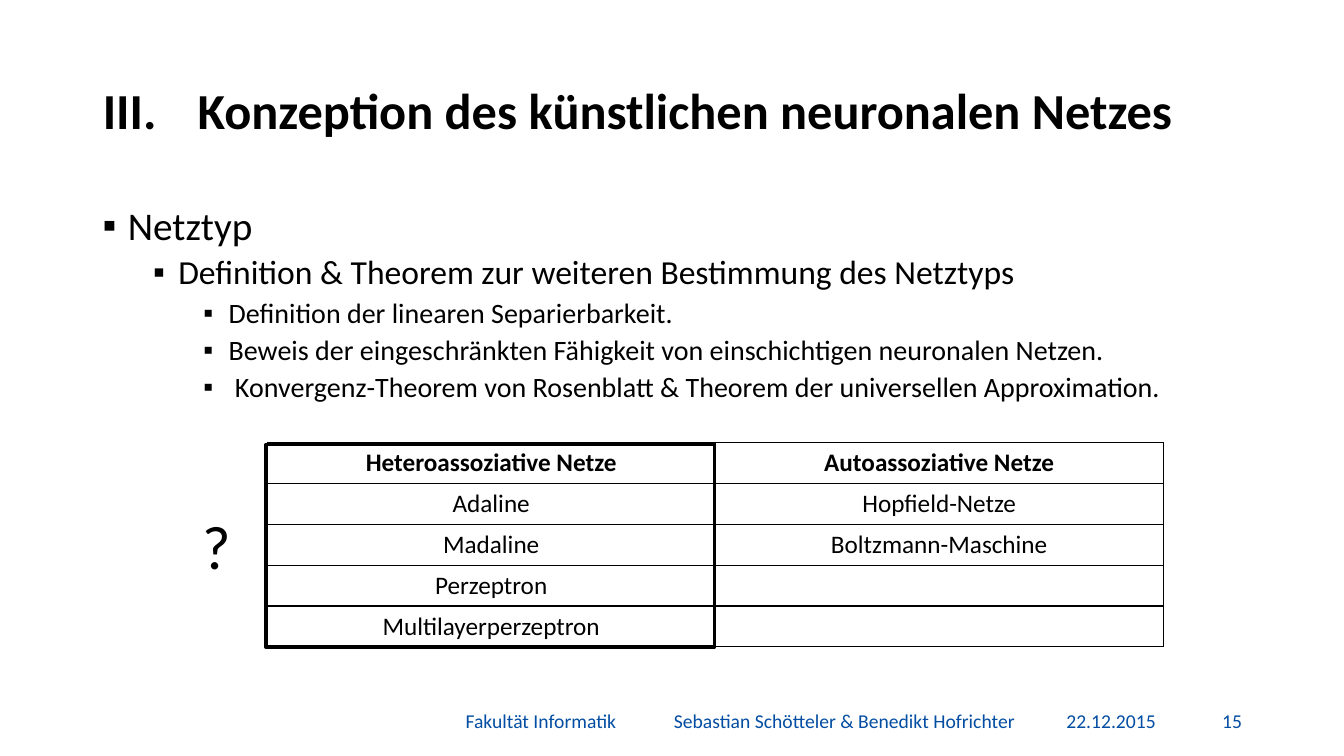
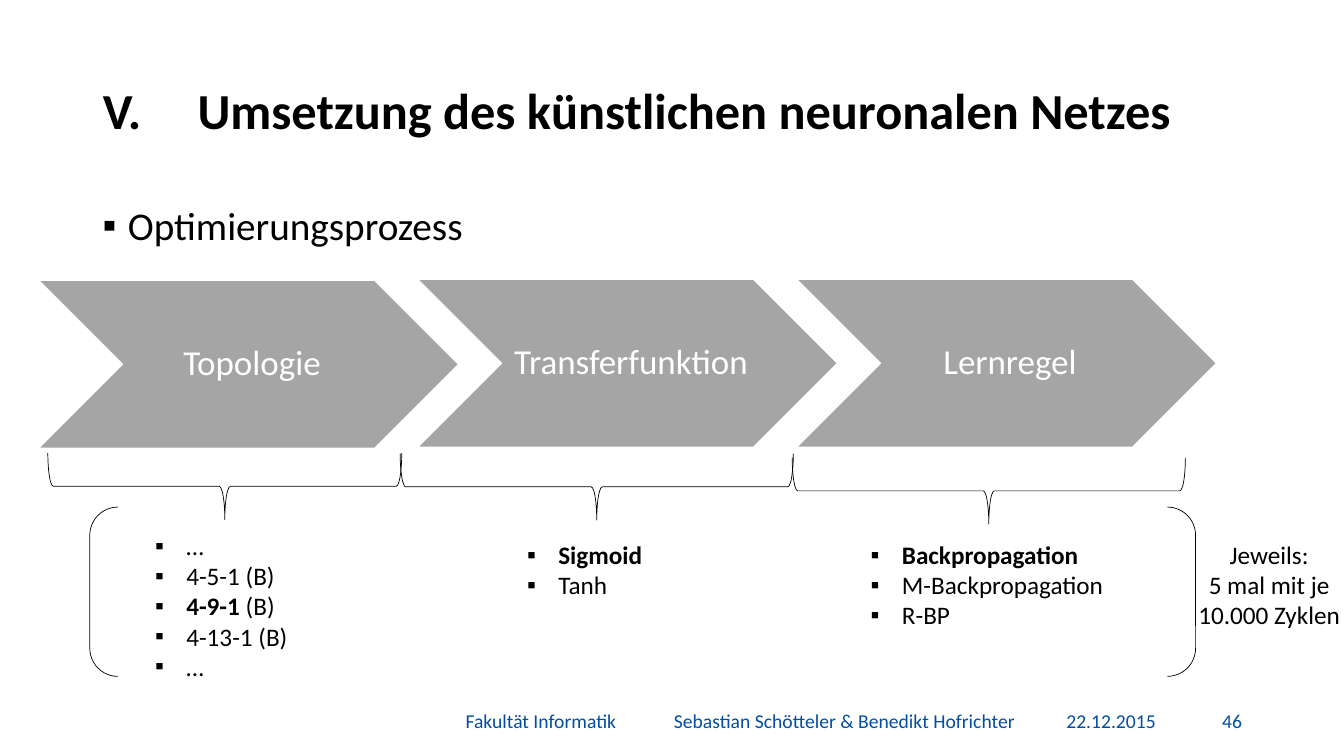
import dataclasses

import lxml.etree
import pptx
import pptx.dml.color
import pptx.enum.shapes
import pptx.enum.text
import pptx.oxml.ns
import pptx.util

Pt = pptx.util.Pt
Inches = pptx.util.Inches
RGB = pptx.dml.color.RGBColor
MSO = pptx.enum.shapes.MSO_SHAPE
ALIGN = pptx.enum.text.PP_ALIGN
ANCHOR = pptx.enum.text.MSO_ANCHOR
qn = pptx.oxml.ns.qn


@dataclasses.dataclass(frozen=True)
class Theme:
    font: str = "Calibri"
    ink: RGB = RGB(0x00, 0x00, 0x00)
    paper: RGB = RGB(0xFF, 0xFF, 0xFF)
    accent: RGB = RGB(0x03, 0x4D, 0xA2)
    grey: RGB = RGB(0xA5, 0xA5, 0xA5)
    title: int = 36
    levels: tuple = (28, 24, 20)
    mark: int = 44
    step: int = 25
    text: int = 18
    footer: int = 14


T = Theme()

prs = pptx.Presentation()
prs.slide_width, prs.slide_height = Inches(13.333), Inches(7.5)

# Grid: 100 columns by 100 rows
COL, ROW = prs.slide_width / 100, prs.slide_height / 100


def box(x, y, w, h):
    """Left, top, width and height, from grid columns and rows."""
    return int(x * COL), int(y * ROW), int(w * COL), int(h * ROW)


def write(tf, runs, size, color=T.ink, align=ALIGN.LEFT, bullet=None,
          indent=0, hang=0, before=0, spacing=1.0, wrap=True):
    """Add one paragraph of (text, bold) runs; a number as bullet starts a Roman list."""
    tf.word_wrap = wrap
    p = tf.add_paragraph() if tf.text else tf.paragraphs[0]
    p.alignment, p.line_spacing, p.space_before = align, spacing, Pt(before)
    for text, bold in runs:
        r = p.add_run()
        r.text = text
        r.font.name, r.font.size, r.font.bold = T.font, Pt(size), bold
        r.font.color.rgb = color
    if bullet:
        pPr = p._p.get_or_add_pPr()
        pPr.set("marL", str(Inches(indent)))
        pPr.set("indent", str(-Inches(hang)))
        if isinstance(bullet, int):
            lxml.etree.SubElement(pPr, qn("a:buFont"), typeface="+mj-lt")
            lxml.etree.SubElement(pPr, qn("a:buAutoNum"), type="romanUcPeriod",
                                  startAt=str(bullet))
        else:
            lxml.etree.SubElement(pPr, qn("a:buFont"), typeface="Arial")
            lxml.etree.SubElement(pPr, qn("a:buChar"), char=bullet)


# Shared frame: title, outline and footer
pages = [
    (3, "Konzeption des künstlichen neuronalen Netzes", "15", [
        (0, "Netztyp"),
        (1, "Definition & Theorem zur weiteren Bestimmung des Netztyps"),
        (2, "Definition der linearen Separierbarkeit."),
        (2, "Beweis der eingeschränkten Fähigkeit von einschichtigen neuronalen Netzen."),
        (2, " Konvergenz-Theorem von Rosenblatt & Theorem der universellen Approximation."),
    ]),
    (5, "Umsetzung des künstlichen neuronalen Netzes", "46",
     [(0, "Optimierungsprozess")]),
]
for chapter, title, number, outline in pages:
    s = prs.slides.add_slide(prs.slide_layouts[5])
    sp = s.shapes.title
    sp.left, sp.top, sp.width, sp.height = box(6.9, 5.33, 86.25, 19.33)
    tf = sp.text_frame
    tf.auto_size = pptx.enum.text.MSO_AUTO_SIZE.NONE
    tf.vertical_anchor = ANCHOR.MIDDLE
    write(tf, [(title, True)], T.title, bullet=chapter, indent=0.94, hang=0.94,
          spacing=0.9)

    tf = s.shapes.add_textbox(*box(6.9, 26.67, 86.25, 63.47)).text_frame
    for level, text in outline:
        write(tf, [(text, False)], T.levels[level], bullet="▪",
              indent=0.25 + 0.5 * level, hang=0.25,
              before=5 if level else 10, spacing=0.9)

    for x, w, text, align in [
        (33.9, 13, "Fakultät Informatik", ALIGN.LEFT),
        (49.4, 27, "Sebastian Schötteler & Benedikt Hofrichter", ALIGN.LEFT),
        (78.6, 8.2, "22.12.2015", ALIGN.LEFT),
        (88.95, 4.2, number, ALIGN.RIGHT),
    ]:
        tf = s.shapes.add_textbox(*box(x, 92.67, w, 5.33)).text_frame
        tf.vertical_anchor = ANCHOR.MIDDLE
        write(tf, [(text, False)], T.footer, T.accent, align, wrap=align == ALIGN.RIGHT)

networks, process = prs.slides

# Table of network types
rows = [
    ("Heteroassoziative Netze", "Autoassoziative Netze"),
    ("Adaline", "Hopfield-Netze"),
    ("Madaline", "Boltzmann-Maschine"),
    ("Perzeptron", ""),
    ("Multilayerperzeptron", ""),
]
table = networks.shapes.add_table(
    len(rows), 2, *box(19.88, 58.53, 66.67, 5.41 * len(rows))).table
table.first_row = table.horz_banding = False
for i, row in enumerate(rows):
    for j, text in enumerate(row):
        cell = table.cell(i, j)
        cell.fill.background()
        cell.vertical_anchor = ANCHOR.TOP if i else ANCHOR.MIDDLE
        if text:
            write(cell.text_frame, [(text, i == 0)], T.text, align=ALIGN.CENTER)
        tcPr = cell._tc.get_or_add_tcPr()
        for k, side in enumerate(("a:lnL", "a:lnR", "a:lnT", "a:lnB")):
            ln = lxml.etree.Element(qn(side), w=str(Pt(1)))
            fill = lxml.etree.SubElement(ln, qn("a:solidFill"))
            lxml.etree.SubElement(fill, qn("a:srgbClr"), val=str(T.ink))
            tcPr.insert(k, ln)

# Frame around the first column, with its question mark
sp = networks.shapes.add_shape(MSO.RECTANGLE, *box(19.8, 58.8, 33.38, 26.8))
sp.shadow.inherit = False
sp.fill.background()
sp.line.color.rgb, sp.line.width = T.ink, Pt(2.5)
tf = networks.shapes.add_textbox(*box(14.33, 66.53, 3.6, 11.2)).text_frame
write(tf, [("?", False)], T.mark, wrap=False)

# Process steps
for i, text in enumerate(("Topologie", "Transferfunktion", "Lernregel")):
    y = 36.93 if i else 37.07
    sp = process.shapes.add_shape(MSO.CHEVRON, *box(2.85 + 28.2 * i, y, 31.28, 22.24))
    sp.shadow.inherit = False
    sp.fill.solid()
    sp.fill.fore_color.rgb = T.grey
    sp.line.color.rgb, sp.line.width = T.paper, Pt(1)
    tf = sp.text_frame
    tf.margin_left = Inches(0.11)
    tf.margin_right = tf.margin_top = tf.margin_bottom = Inches(0.04)
    tf.vertical_anchor = ANCHOR.MIDDLE
    write(tf, [(text, False)], T.step, T.paper, ALIGN.CENTER, spacing=0.9, wrap=False)

# Braces under the steps (turned upright) and the bracket around all options
outlines = []
for x, y, span in [(3.56, 59.93, 26.33), (29.78, 60, 29.25), (58.95, 60.53, 29.25)]:
    left, top, length, depth = box(x, y, span, 8.8)
    sp = process.shapes.add_shape(
        MSO.LEFT_BRACE, left + (length - depth) // 2, top + (depth - length) // 2,
        depth, length)
    sp.rotation = 270
    outlines.append(sp)
outlines.append(process.shapes.add_shape(
    MSO.DOUBLE_BRACKET, *box(6.68, 67.07, 82.28, 22.4)))
for sp in outlines:
    sp.shadow.inherit = False
    sp.fill.background()
    sp.line.color.rgb, sp.line.width = T.ink, Pt(0.5)

# Options of each step
options = [
    (box(10.8, 69.47, 12, 21.6), [
        [("…", False)],
        [("4-5-1 (B)", False)],
        [("4-9-1", True), (" (B)", False)],
        [("4-13-1 (B)", False)],
        [("…", False)],
    ]),
    (box(38.48, 70.67, 12.15, 9.47), [[("Sigmoid", True)], [("Tanh", False)]]),
    (box(64.05, 70.67, 19.2, 17.47), [
        [("Backpropagation", True)],
        [("M-Backpropagation", False)],
        [("R-BP", False)],
    ]),
]
for place, items in options:
    tf = process.shapes.add_textbox(*place).text_frame
    for runs in items:
        write(tf, runs, T.text, bullet="▪", indent=0.31, hang=0.31)

# Repetitions
tf = process.shapes.add_textbox(*box(88.13, 70.67, 12.6, 13.47)).text_frame
for text in ("Jeweils:", "5 mal mit je", "10.000 Zyklen"):
    write(tf, [(text, False)], T.text, align=ALIGN.CENTER)

prs.save("out.pptx")
